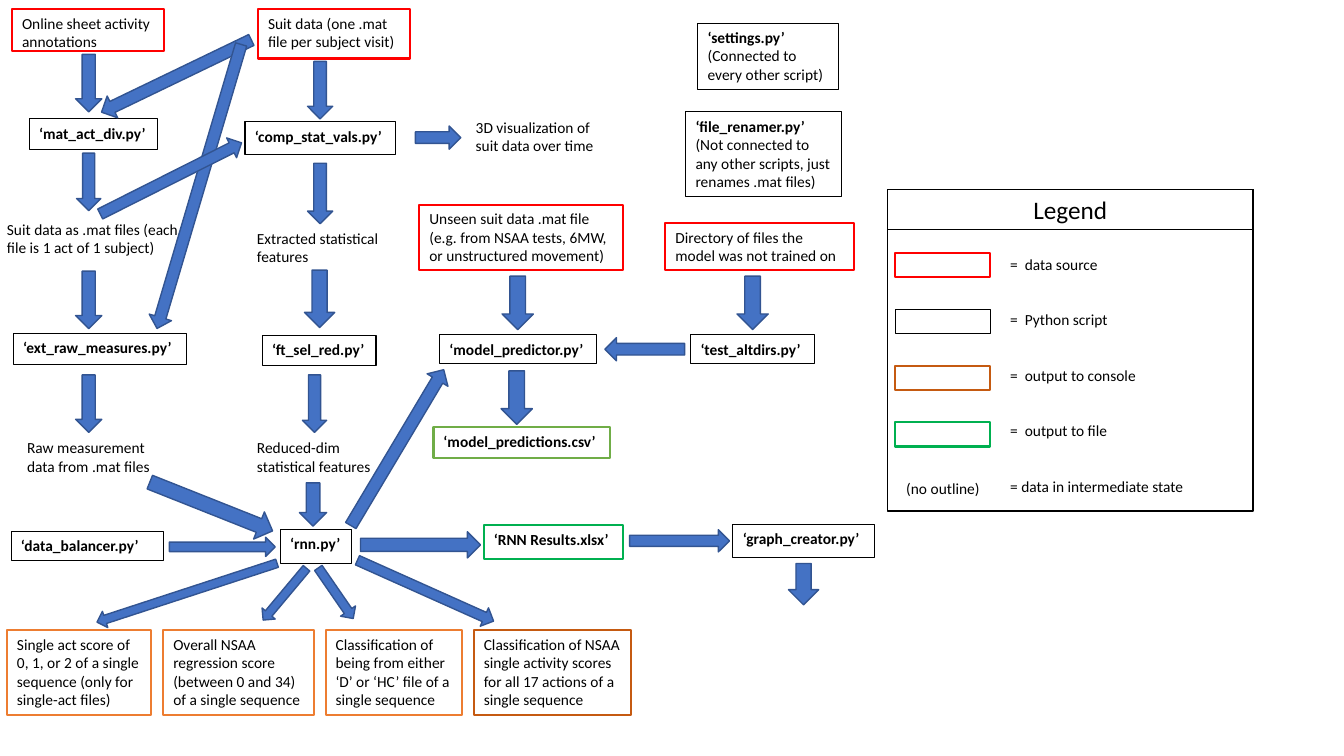
from dataclasses import dataclass
from math import atan2, degrees, hypot
from typing import Optional

from pptx import Presentation
from pptx.dml.color import RGBColor
from pptx.enum.shapes import MSO_SHAPE as Preset
from pptx.enum.text import PP_ALIGN as Align
from pptx.util import Inches, Pt

SLIDE_WIDTH = Inches(13.33)
SLIDE_HEIGHT = Inches(7.5)
COLUMN = SLIDE_WIDTH / 133.3
ROW = SLIDE_HEIGHT / 75
FONT = "Calibri"


@dataclass(frozen=True)
class Border:
    color: str
    points: float


SOURCE = Border("FF0000", 1.5)
SCRIPT = Border("000000", 0.75)
CONSOLE = Border("ED7D31", 1.5)
DARK_CONSOLE = Border("C55A11", 1.5)
OUTPUT_FILE = Border("00B050", 1.5)
PREDICTIONS = Border("70AD47", 1.5)
STATE = Border("FFFFFF", 0.75)
FRAME = Border("000000", 1)
ARROW_BORDER = Border("325491", 1)


@dataclass(frozen=True)
class Box:
    column: float
    row: float
    columns: float
    rows: float
    border: Optional[Border]
    text: str = ""
    bold: bool = False
    size: float = 11
    align: Align = Align.LEFT
    space_after: float = 0
    fill: Optional[str] = None


@dataclass(frozen=True)
class Arrow:
    tail_column: float
    tail_row: float
    tip_column: float
    tip_row: float
    thickness: float


BOXES = [
    Box(25.6, 0.9, 15.1, 4.9, SOURCE, "Suit data (one .mat file per subject visit)"),
    Box(24.3, 12.1, 14.9, 3.2, SCRIPT, "‘comp_stat_vals.py’", True),
    Box(26, 33.3, 11.3, 3, SCRIPT, "‘ft_sel_red.py’", True),
    Box(27.8, 52.5, 7.1, 3.4, SCRIPT, "‘rnn.py’", True),
    Box(1.3, 33.1, 17.2, 3.1, SCRIPT, "‘ext_raw_measures.py’", True),
    Box(43.6, 33.2, 15.6, 2.9, SCRIPT, "‘model_predictor.py’", True),
    Box(72.7, 52, 14, 3.3, SCRIPT, "‘graph_creator.py’", True),
    Box(24.5, 22.2, 14.5, 4.5, STATE, "Extracted statistical features"),
    Box(24.5, 43, 13.5, 4.6, STATE, "Reduced-dim statistical features"),
    Box(0.7, 62.5, 14.3, 8.4, CONSOLE,
        "Single act score of 0, 1, or 2 of a single sequence (only for single-act files)"),
    Box(16.2, 62.5, 14.9, 8.4, CONSOLE,
        "Overall NSAA regression score (between 0 and 34) of a single sequence"),
    Box(32.3, 62.5, 13.5, 8.4, CONSOLE,
        "Classification of being from either ‘D’ or ‘HC’ file of a single sequence"),
    Box(47, 62.5, 15.6, 8.4, DARK_CONSOLE,
        "Classification of NSAA single activity scores for all 17 actions of a single sequence"),
    Box(1.7, 43, 14.3, 5.2, STATE, "Raw measurement data from .mat files"),
    Box(41.6, 20.3, 20.2, 6.5, SOURCE,
        "Unseen suit data .mat file (e.g. from NSAA tests, 6MW, or unstructured movement)"),
    Box(43, 42.4, 17.5, 3, PREDICTIONS, "‘model_predictions.csv’", True),
    Box(46.2, 11.2, 14, 4.8, STATE, "3D visualization of suit data over time"),
    Box(2.9, 11.8, 12.7, 3, SCRIPT, "‘mat_act_div.py’", True),
    Box(1.2, 0.9, 15.1, 4.2, SOURCE, "Online sheet activity annotations"),
    Box(-0.3, 21.3, 19.6, 4.7, None,
        "Suit data as .mat files (each file is 1 act of 1 subject)"),
    Box(48, 52.1, 13.8, 3.4, OUTPUT_FILE, "‘RNN Results.xlsx’", True),
    Box(69.2, 2.3, 14, 6.6, SCRIPT,
        "‘settings.py’\n(Connected to every other script)", True),
    Box(68.5, 33.2, 12.3, 2.9, SCRIPT, "‘test_altdirs.py’", True),
    Box(1.1, 52.7, 15.1, 2.9, SCRIPT, "‘data_balancer.py’", True),
    Box(66, 22.1, 18.7, 4.7, SOURCE, "Directory of files the model was not trained on"),
    Box(68, 11.1, 15.5, 8.4, SCRIPT,
        "‘file_renamer.py’\n(Not connected to any other scripts, just renames .mat files)", True),
]

ARROWS = [
    Arrow(31.75, 6.1, 31.75, 11.8, 2.5),
    Arrow(31.75, 16.2, 31.75, 22.2, 2.5),
    Arrow(31.7, 26.8, 31.7, 32.5, 3),
    Arrow(31.2, 37.2, 31.2, 42.9, 2.4),
    Arrow(31.05, 47.9, 31.05, 52.2, 2.7),
    Arrow(27.48, 55.88, 9.62, 61.72, 1.7),
    Arrow(30.4, 56.38, 26.1, 61.52, 1.7),
    Arrow(35.45, 55.58, 48.95, 61.62, 2),
    Arrow(8.8, 5.4, 8.8, 11.1, 2.6),
    Arrow(8.8, 15.2, 8.8, 20.9, 2.4),
    Arrow(24.93, 3.97, 10.07, 11.13, 2.4),
    Arrow(23.92, 4.41, 15.58, 32.59, 2.3),
    Arrow(8.8, 26.9, 8.8, 32.6, 2.6),
    Arrow(8.8, 37.2, 8.8, 42.9, 2.6),
    Arrow(14.86, 47.83, 27.04, 52.67, 2.9),
    Arrow(31.57, 56.34, 35.03, 61.36, 1.8),
    Arrow(41.2, 13.65, 45.7, 13.65, 2.3),
    Arrow(34.79, 52.13, 44.01, 36.67, 2.4),
    Arrow(35.75, 54.05, 47.65, 54.05, 2.6),
    Arrow(62.45, 53.65, 72.35, 53.65, 2.2),
    Arrow(79.7, 55.9, 79.7, 60, 3),
    Arrow(9.94, 21.23, 23.96, 14.17, 2.2),
    Arrow(51.35, 27.4, 51.35, 32.7, 3.1),
    Arrow(51.25, 36.8, 51.25, 42.1, 3.1),
    Arrow(67.9, 34.65, 60, 34.65, 2.3),
    Arrow(16.8, 54.25, 27.3, 54.25, 1.9),
    Arrow(74.65, 27.4, 74.65, 32.7, 3.1),
]

LEGEND_MEANINGS = [
    "=  data source",
    "=  Python script",
    "=  output to console",
    "=  output to file",
    "= data in intermediate state",
]
LEGEND_BORDERS = [SOURCE, SCRIPT, DARK_CONSOLE, OUTPUT_FILE]
LEGEND = [
    Box(88, 18.8, 36.3, 31.9, FRAME, fill="FFFFFF"),
    Box(88, 18.8, 36.3, 4, SCRIPT, "Legend", size=18, align=Align.CENTER),
    *(Box(88.8, 25.1 + 5.6 * index, 9.4, 2.4, border)
      for index, border in enumerate(LEGEND_BORDERS)),
    Box(88.9, 47, 9.4, 2.9, None, "(no outline)"),
    Box(99.2, 24.8, 23.2, 25.1, None, "\n".join(LEGEND_MEANINGS), space_after=26.4),
]


def color(value: str) -> RGBColor:
    return RGBColor.from_string(value)


def style(shape, border: Border, fill: Optional[str]) -> None:
    shape.shadow.inherit = False
    if fill:
        shape.fill.solid()
        shape.fill.fore_color.rgb = color(fill)
    else:
        shape.fill.background()
    shape.line.color.rgb = color(border.color)
    shape.line.width = Pt(border.points)


def draw_box(slide, box: Box) -> None:
    place = [round(length) for length in (
        box.column * COLUMN, box.row * ROW, box.columns * COLUMN, box.rows * ROW)]
    if box.border:
        shape = slide.shapes.add_shape(Preset.RECTANGLE, *place)
        style(shape, box.border, box.fill)
    else:
        shape = slide.shapes.add_textbox(*place)
    if not box.text:
        return
    text_frame = shape.text_frame
    text_frame.word_wrap = True
    text_frame.vertical_anchor = None
    text_frame.text = box.text
    for index, paragraph in enumerate(text_frame.paragraphs):
        paragraph.alignment = box.align
        paragraph.space_after = Pt(box.space_after)
        for run in paragraph.runs:
            run.font.name = FONT
            run.font.size = Pt(box.size)
            run.font.bold = box.bold and index == 0
            run.font.color.rgb = color("000000")


def draw_arrow(slide, arrow: Arrow) -> None:
    across = (arrow.tip_column - arrow.tail_column) * COLUMN
    down = (arrow.tip_row - arrow.tail_row) * ROW
    length = hypot(across, down)
    width = arrow.thickness * COLUMN
    left = arrow.tail_column * COLUMN + (across - width) / 2
    top = arrow.tail_row * ROW + (down - length) / 2
    shape = slide.shapes.add_shape(
        Preset.DOWN_ARROW, round(left), round(top), round(width), round(length))
    shape.rotation = degrees(atan2(-across, down)) % 360
    style(shape, ARROW_BORDER, "4472C4")


def main() -> None:
    presentation = Presentation()
    presentation.slide_width = SLIDE_WIDTH
    presentation.slide_height = SLIDE_HEIGHT
    slide = presentation.slides.add_slide(presentation.slide_layouts[6])
    for box in BOXES:
        draw_box(slide, box)
    for arrow in ARROWS:
        draw_arrow(slide, arrow)
    for box in LEGEND:
        draw_box(slide, box)
    presentation.save("out.pptx")


if __name__ == "__main__":
    main()
